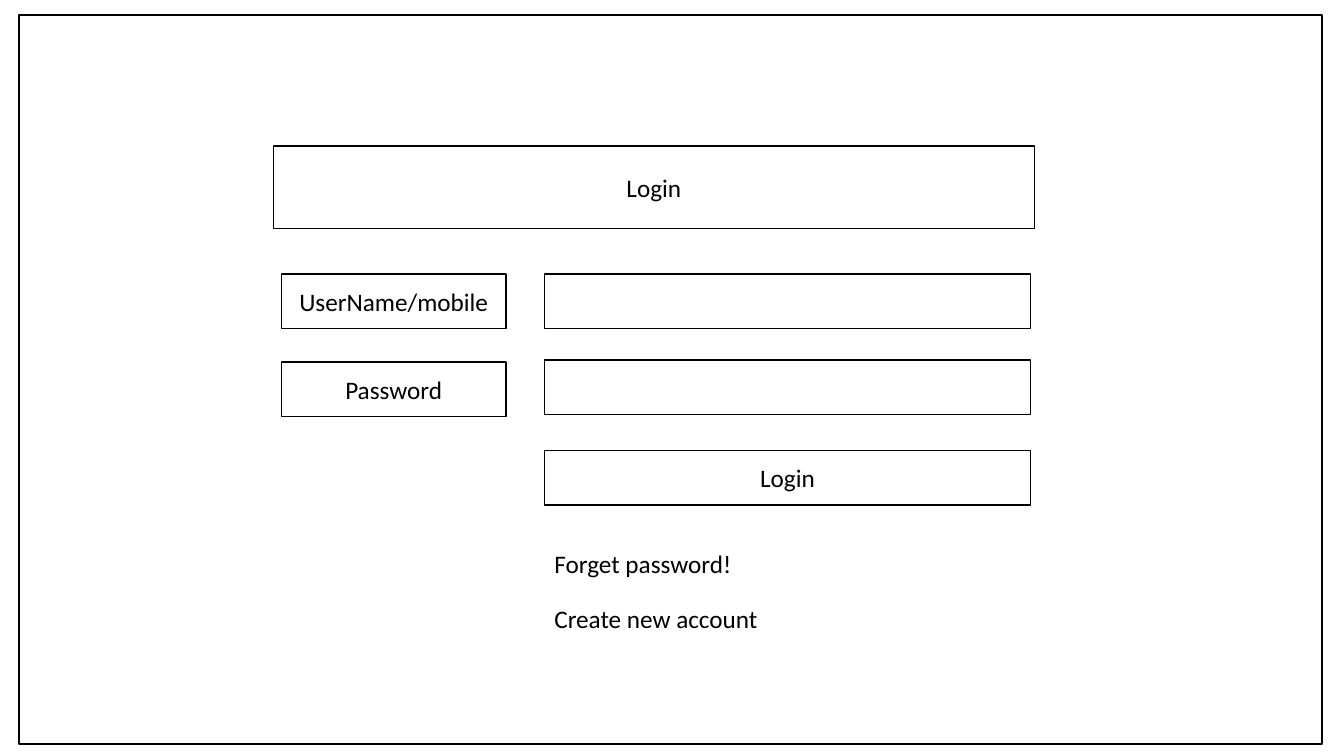
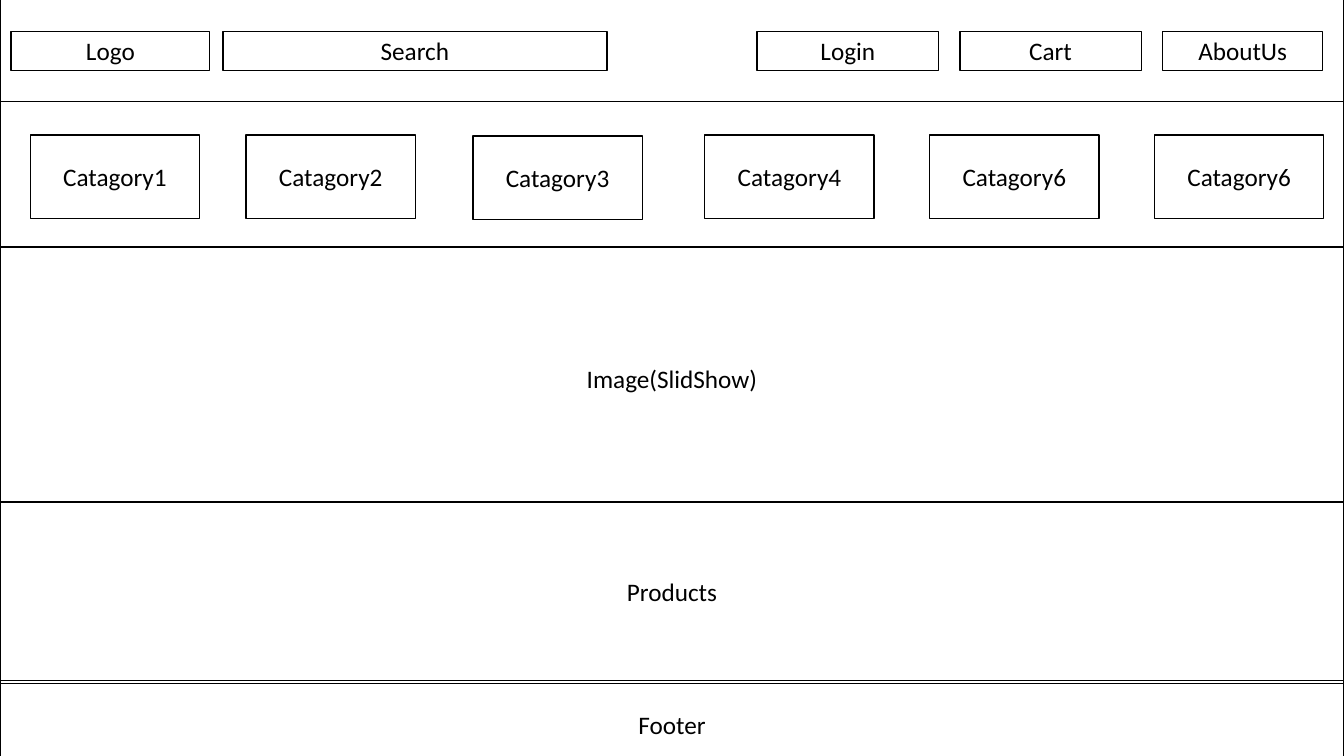
import pptx
import pptx.dml.color
import pptx.enum.shapes
import pptx.enum.text
import pptx.util

Inches = pptx.util.Inches
COLORS = {"fill": "FFFFFF", "ink": "000000"}
FONT = "Calibri"
TEXT_SIZE = 18
LINE_WIDTH = 1
SLIDE_W, SLIDE_H = 13.33, 7.5


def rgb(name):
    return pptx.dml.color.RGBColor.from_string(COLORS[name])


def set_text(sp, text, align):
    tf = sp.text_frame
    tf.word_wrap = True
    tf.text = text
    p = tf.paragraphs[0]
    p.alignment = align
    for r in p.runs:
        r.font.name = FONT
        r.font.size = pptx.util.Pt(TEXT_SIZE)
        r.font.color.rgb = rgb("ink")


def add_box(s, x, y, w, h, text=""):
    sp = s.shapes.add_shape(pptx.enum.shapes.MSO_SHAPE.RECTANGLE,
                            Inches(x), Inches(y), Inches(w), Inches(h))
    sp.shadow.inherit = False
    sp.fill.solid()
    sp.fill.fore_color.rgb = rgb("fill")
    sp.line.color.rgb = rgb("ink")
    sp.line.width = pptx.util.Pt(LINE_WIDTH)
    if text:
        sp.text_frame.vertical_anchor = pptx.enum.text.MSO_ANCHOR.MIDDLE
        set_text(sp, text, pptx.enum.text.PP_ALIGN.CENTER)


def add_label(s, x, y, w, h, text):
    sp = s.shapes.add_textbox(Inches(x), Inches(y), Inches(w), Inches(h))
    set_text(sp, text, pptx.enum.text.PP_ALIGN.LEFT)
    sp.text_frame.auto_size = pptx.enum.text.MSO_AUTO_SIZE.SHAPE_TO_FIT_TEXT


def add_login_form(s, x, y, w):
    """Title bar of width w, captions on the left, fields and links on the right."""
    caption_x, field_x = x + 0.08, x + 2.69
    row_h = 0.54
    add_box(s, x, y, w, 0.82, "Login")
    for dy, text in ((1.27, "UserName/mobile"), (2.14, "Password")):
        add_box(s, caption_x, y + dy, 2.23, row_h, text)
    for dy, text in ((1.27, ""), (2.12, ""), (3.02, "Login")):
        add_box(s, field_x, y + dy, 4.82, row_h, text)
    for dy, link_w, text in ((3.94, 2.32, "Forget password!"),
                             (4.49, 2.83, "Create new account")):
        add_label(s, field_x, y + dy, link_w, 0.4, text)


def add_header(s, x, y, w, h):
    add_box(s, x, y, w, h)
    for dx, item_w, text in ((0.11, 1.97, "Logo"), (2.21, 3.81, "Search"),
                             (7.51, 1.8, "Login"), (9.52, 1.8, "Cart"),
                             (11.53, 1.59, "AboutUs")):
        add_box(s, x + dx, y + 0.37, item_w, 0.39, text)


def add_category_bar(s, x, y, w, h):
    add_box(s, x, y, w, h)
    for dx, dy, number in ((0.3, 0.33, 1), (2.44, 0.33, 2), (4.69, 0.34, 3),
                           (6.99, 0.33, 4), (9.22, 0.33, 6), (11.45, 0.33, 6)):
        add_box(s, x + dx, y + dy, 1.68, 0.83, f"Catagory{number}")


def build_login_page(s):
    add_box(s, 0.19, 0.15, 12.92, 7.23)
    add_login_form(s, 2.71, 1.45, 7.55)


def build_home_page(s):
    add_box(s, 0, -0.08, SLIDE_W, SLIDE_H)
    add_header(s, 0, -0.06, SLIDE_W, 1.07)
    add_category_bar(s, 0, 1.01, SLIDE_W, 1.44)
    for y, h, text in ((2.45, 2.6, "Image(SlidShow)"),
                       (4.98, 1.77, "Products"),
                       (6.78, 0.82, "Footer")):
        add_box(s, 0, y, SLIDE_W, h, text)


def main():
    prs = pptx.Presentation()
    prs.slide_width, prs.slide_height = Inches(SLIDE_W), Inches(SLIDE_H)
    for build_page in (build_login_page, build_home_page):
        build_page(prs.slides.add_slide(prs.slide_layouts[6]))
    prs.save("out.pptx")


if __name__ == "__main__":
    main()
